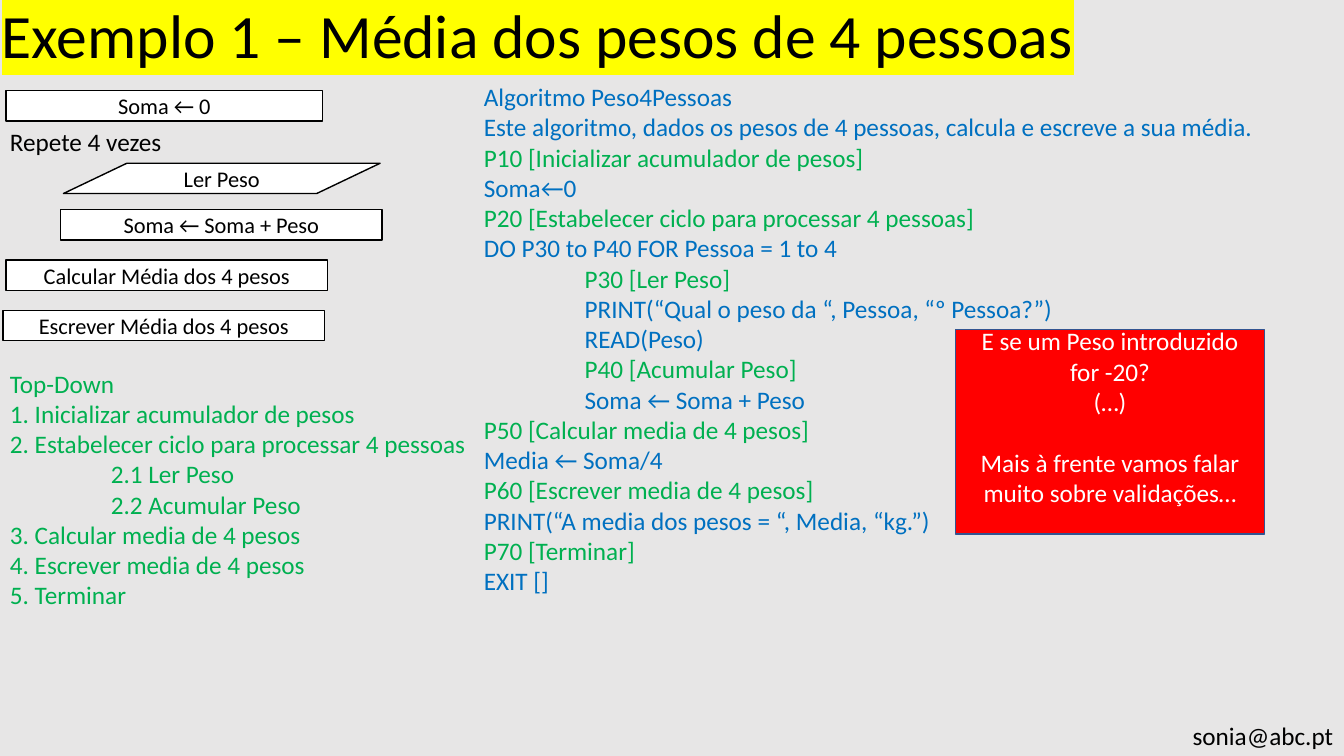
import pptx
import pptx.util
import pptx.dml.color
import pptx.enum.shapes
import pptx.enum.text
import pptx.oxml.ns
import lxml.etree

Inches = pptx.util.Inches
Pt = pptx.util.Pt
RGBColor = pptx.dml.color.RGBColor
MSO_SHAPE = pptx.enum.shapes.MSO_SHAPE
PP_ALIGN = pptx.enum.text.PP_ALIGN
MSO_ANCHOR = pptx.enum.text.MSO_ANCHOR
MSO_AUTO_SIZE = pptx.enum.text.MSO_AUTO_SIZE
qn = pptx.oxml.ns.qn

BACKGROUND = RGBColor(0xE7, 0xE6, 0xE6)
BLACK = RGBColor(0, 0, 0)
WHITE = RGBColor(0xFF, 0xFF, 0xFF)
GREEN = RGBColor(0x00, 0xB0, 0x50)
BLUE = RGBColor(0x00, 0x70, 0xC0)
RED = RGBColor(0xFF, 0, 0)
NAVY = RGBColor(0x32, 0x54, 0x91)
YELLOW = RGBColor(0xFF, 0xFF, 0)

FLOW_STEPS = [
    (0.06, 0.9, 3.14, MSO_SHAPE.RECTANGLE, "Soma ← 0"),
    (0.06, 2.58, 3.19, MSO_SHAPE.RECTANGLE, "Calcular Média dos 4 pesos"),
    (0.03, 3.08, 3.19, MSO_SHAPE.RECTANGLE, "Escrever Média dos 4 pesos"),
    (0.63, 1.62, 3.14, MSO_SHAPE.FLOWCHART_DATA, "Ler Peso"),
    (0.6, 2.08, 3.19, MSO_SHAPE.RECTANGLE, "Soma ← Soma + Peso"),
]

TOP_DOWN = [
    (0, "Top-Down"),
    (0, "1. Inicializar acumulador de pesos"),
    (0, "2. Estabelecer ciclo para processar 4 pessoas"),
    (1, "2.1 Ler Peso"),
    (1, "2.2 Acumular Peso"),
    (0, "3. Calcular media de 4 pesos"),
    (0, "4. Escrever media de 4 pesos"),
    (0, "5. Terminar"),
]

ALGORITHM = [
    (0, BLUE, "Algoritmo Peso4Pessoas"),
    (0, BLUE, "Este algoritmo, dados os pesos de 4 pessoas, calcula e escreve a sua média."),
    (0, GREEN, "P10 [Inicializar acumulador de pesos]"),
    (0, BLUE, "Soma←0"),
    (0, GREEN, "P20 [Estabelecer ciclo para processar 4 pessoas]"),
    (0, BLUE, "DO P30 to P40 FOR Pessoa = 1 to 4"),
    (1, GREEN, "P30 [Ler Peso]"),
    (1, BLUE, "PRINT(“Qual o peso da “, Pessoa, “º Pessoa?”)"),
    (1, BLUE, "READ(Peso)"),
    (1, GREEN, "P40 [Acumular Peso]"),
    (1, BLUE, "Soma ← Soma + Peso"),
    (0, GREEN, "P50 [Calcular media de 4 pesos]"),
    (0, BLUE, "Media ← Soma/4"),
    (0, GREEN, "P60 [Escrever media de 4 pesos]"),
    (0, BLUE, "PRINT(“A media dos pesos = “, Media, “kg.”)"),
    (0, GREEN, "P70 [Terminar]"),
    (0, BLUE, "EXIT []"),
]


def write(tf, text, size=18, color=BLACK, align=PP_ALIGN.LEFT, indent=0, before=0, highlight=None):
    p = tf.paragraphs[0] if not tf.text else tf.add_paragraph()
    p.alignment = align
    p.space_before = Pt(before)
    if indent:
        p._p.get_or_add_pPr().set("marL", str(Inches(indent)))
    r = p.add_run()
    r.text = text
    r.font.size = Pt(size)
    r.font.color.rgb = color
    if highlight is not None:
        mark = lxml.etree.Element(qn("a:highlight"))
        lxml.etree.SubElement(mark, qn("a:srgbClr"), val=str(highlight))
        r._r.rPr.find(qn("a:solidFill")).addnext(mark)
    r.font.name = "Calibri"


def add_text_frame(s, left, top, width, height, wrap=False):
    box = s.shapes.add_textbox(Inches(left), Inches(top), Inches(width), Inches(height))
    tf = box.text_frame
    tf.word_wrap = wrap
    tf.auto_size = MSO_AUTO_SIZE.SHAPE_TO_FIT_TEXT
    return tf


def add_filled_shape(s, kind, left, top, width, height, fill, line):
    sp = s.shapes.add_shape(kind, Inches(left), Inches(top), Inches(width), Inches(height))
    sp.shadow.inherit = False
    sp.fill.solid()
    sp.fill.fore_color.rgb = fill
    sp.line.color.rgb = line
    sp.line.width = Pt(1)
    tf = sp.text_frame
    tf.word_wrap = True
    tf.vertical_anchor = MSO_ANCHOR.MIDDLE
    return tf


def add_title(s, left, top, width, height):
    tf = add_text_frame(s, left, top, width, height, wrap=True)
    write(tf, "Exemplo 1 – Média dos pesos de 4 pessoas", size=44, highlight=YELLOW)


def add_flow(s, left, top):
    for dx, dy, width, kind, text in FLOW_STEPS:
        tf = add_filled_shape(s, kind, left + dx, top + dy, width, 0.3, WHITE, BLACK)
        write(tf, text, size=16, align=PP_ALIGN.CENTER)
    write(add_text_frame(s, left, top + 1.2, 1.72, 0.4), "Repete 4 vezes")


def add_top_down(s, left, top, width, height):
    tf = add_text_frame(s, left, top, width, height)
    for level, text in TOP_DOWN:
        write(tf, text, color=GREEN, indent=level)


def add_algorithm(s, left, top, width, height):
    tf = add_text_frame(s, left, top, width, height)
    for level, color, text in ALGORITHM:
        write(tf, text, color=color, indent=level)


def add_callout(s, left, top, width, height):
    tf = add_filled_shape(s, MSO_SHAPE.RECTANGLE, left, top, width, height, RED, NAVY)
    tf.margin_bottom = Inches(0.35)
    for text, before in [
        ("E se um Peso introduzido for -20?", 0),
        ("(…)", 0),
        ("Mais à frente vamos falar muito sobre validações…", 22),
    ]:
        write(tf, text, color=WHITE, align=PP_ALIGN.CENTER, before=before)


def add_contact(s, left, top, width, height):
    write(add_text_frame(s, left, top, width, height), "sonia@abc.pt")


def main():
    prs = pptx.Presentation()
    prs.slide_width = Inches(13.33)
    prs.slide_height = Inches(7.5)
    s = prs.slides.add_slide(prs.slide_layouts[6])
    s.background.fill.solid()
    s.background.fill.fore_color.rgb = BACKGROUND
    add_contact(s, 11.73, 7.1, 1.6, 0.4)
    add_title(s, -0.08, -0.08, 12.24, 0.84)
    add_flow(s, 0, 0)
    add_top_down(s, 0, 3.6, 4.78, 2.52)
    add_algorithm(s, 4.7, 0.76, 7.91, 5.25)
    add_callout(s, 9.48, 3.27, 3.06, 2.03)
    prs.save("out.pptx")


if __name__ == "__main__":
    main()
